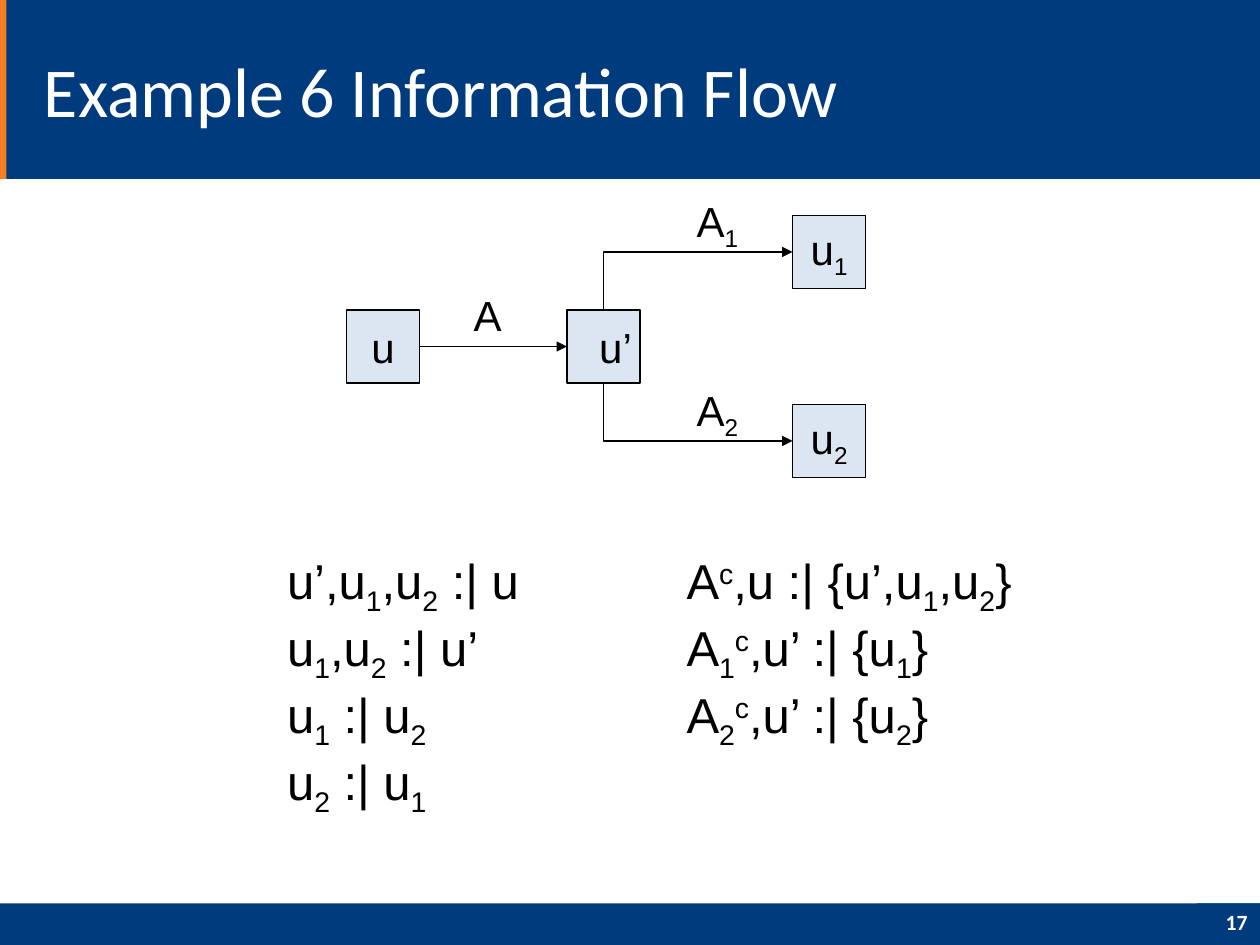
from lxml import etree
from pptx import Presentation
from pptx import util as u
from pptx.dml.color import RGBColor
from pptx.enum import shapes, text
from pptx.oxml import ns

COLORS = {"navy": "003C7D", "orange": "F47F24", "white": "FFFFFF",
          "node": "DCE6F2", "black": "000000"}
BASELINES = {"_": "-25000", "^": "30000"}
NODE = 0.58
MIDDLE = text.MSO_ANCHOR.MIDDLE


def rgb(name):
    return RGBColor.from_string(COLORS[name])


def add_run(p, words, baseline=None):
    r = p.add_run()
    r.text = words
    if baseline:
        r.font._element.set("baseline", baseline)


def write(tf, lines, size, font="Arial", color="black", align=None, bold=False):
    """Fill a frame; _ lowers the next character and ^ raises it."""
    for i, line in enumerate(lines):
        p = tf.paragraphs[0] if i == 0 else tf.add_paragraph()
        p.font.name, p.font.size, p.font.bold = font, u.Pt(size), bold
        p.font.color.rgb = rgb(color)
        p.alignment = align
        for piece in line.replace("_", "\n_").replace("^", "\n^").split("\n"):
            if piece[0] in BASELINES:
                add_run(p, piece[1], BASELINES[piece[0]])
                piece = piece[2:]
            if piece:
                add_run(p, piece)


def add_box(s, x, y, w, h, fill, outlined=False):
    sp = s.shapes.add_shape(shapes.MSO_SHAPE.RECTANGLE, *map(u.Inches, (x, y, w, h)))
    sp.shadow.inherit = False
    sp.fill.solid()
    sp.fill.fore_color.rgb = rgb(fill)
    if outlined:
        sp.line.color.rgb = rgb("black")
        sp.line.width = u.Pt(0.75)
    else:
        sp.line.fill.background()
    return sp


def add_node(s, x, y, label, left_inset=0.1):
    sp = add_box(s, x, y, NODE, NODE, "node", outlined=True)
    tf = sp.text_frame
    tf.word_wrap = False
    tf.vertical_anchor = MIDDLE
    tf.margin_left = u.Inches(left_inset)
    write(tf, [label], 24, align=text.PP_ALIGN.CENTER)
    return sp


def add_text(s, x, y, w, h, lines, size):
    tf = s.shapes.add_textbox(*map(u.Inches, (x, y, w, h))).text_frame
    tf.word_wrap = False
    tf.auto_size = text.MSO_AUTO_SIZE.SHAPE_TO_FIT_TEXT
    write(tf, lines, size)


def add_arrow(s, kind, x1, y1, x2, y2):
    c = s.shapes.add_connector(kind, *map(u.Inches, (x1, y1, x2, y2)))
    c.line.color.rgb = rgb("black")
    c.line.width = u.Pt(0.75)
    sp_pr = c._element.spPr
    etree.SubElement(sp_pr.find(ns.qn("a:ln")), ns.qn("a:tailEnd"), type="triangle")
    etree.SubElement(sp_pr, ns.qn("a:effectLst"))
    return c


def add_elbow(s, x1, y1, x2, y2):
    """One-bend arrow that leaves vertically and arrives horizontally."""
    cx, cy = (x1 + x2) / 2, (y1 + y2) / 2
    half_w, half_h = abs(y2 - y1) / 2, (x2 - x1) / 2
    side = 1 if y2 < y1 else -1
    c = add_arrow(s, shapes.MSO_CONNECTOR.ELBOW, cx + half_w, cy + side * half_h,
                  cx - half_w, cy - side * half_h)
    sp_pr = c._element.spPr
    sp_pr.find(ns.qn("a:prstGeom")).set("prst", "bentConnector2")
    degrees = 90 if side == 1 else 270
    sp_pr.find(ns.qn("a:xfrm")).set("rot", str(degrees * 60000))


def add_frame(s):
    # Footer, header and accent bars
    add_box(s, 0, 7.17, 10, 0.33, "navy")
    add_box(s, 0, 0, 10, 1.42, "navy")
    add_box(s, 0, 0, 0.05, 1.42, "orange")

    # Title
    tb = s.shapes.add_textbox(*map(u.Inches, (0.25, 0.17, 7.33, 1.08)))
    tf = tb.text_frame
    tf.word_wrap = True
    tf.vertical_anchor = MIDDLE
    write(tf, ["Example 6 Information Flow"], 40, "Calibri", "white")

    # Slide number
    tf = add_box(s, 9.5, 7.17, 0.5, 0.33, "navy").text_frame
    tf.vertical_anchor = MIDDLE
    write(tf, ["17"], 12.4, "Calibri", "white", text.PP_ALIGN.RIGHT, bold=True)
    tf.paragraphs[0].line_spacing = 0.8


def add_flow(s):
    # Source and middle nodes with the arrow between them
    source = add_node(s, 2.75, 2.46, "u")
    middle = add_node(s, 4.5, 2.46, "u’", left_inset=0.29)
    c = add_arrow(s, shapes.MSO_CONNECTOR.STRAIGHT, 2.75 + NODE, 2.75, 4.5, 2.75)
    c.begin_connect(source, 3)
    c.end_connect(middle, 1)
    add_text(s, 3.66, 2.25, 0.42, 0.5, ["A"], 24)

    # Upper and lower branches
    for n, top, exit_y in (("1", 1.71, 2.46), ("2", 3.21, 2.46 + NODE)):
        add_node(s, 6.29, top, "u_" + n)
        add_elbow(s, 4.79, exit_y, 6.29, top + NODE / 2)
        add_text(s, 5.43, top - 0.21, 0.53, 0.56, ["A_" + n], 24)


def main():
    prs = Presentation()
    prs.slide_width, prs.slide_height = u.Inches(10), u.Inches(7.5)
    s = prs.slides.add_slide(prs.slide_layouts[6])
    add_frame(s)
    add_flow(s)

    # Non-interference statements
    add_text(s, 2.18, 4.32, 2.04, 2.23,
             ["u’,u_1,u_2 :| u", "u_1,u_2 :| u’", "u_1 :| u_2", "u_2 :| u_1"], 28)
    add_text(s, 5.35, 4.32, 2.78, 1.7,
             ["A^c,u :| {u’,u_1,u_2}", "A_1^c,u’ :| {u_1}", "A_2^c,u’ :| {u_2}"], 28)
    prs.save("out.pptx")


if __name__ == "__main__":
    main()
